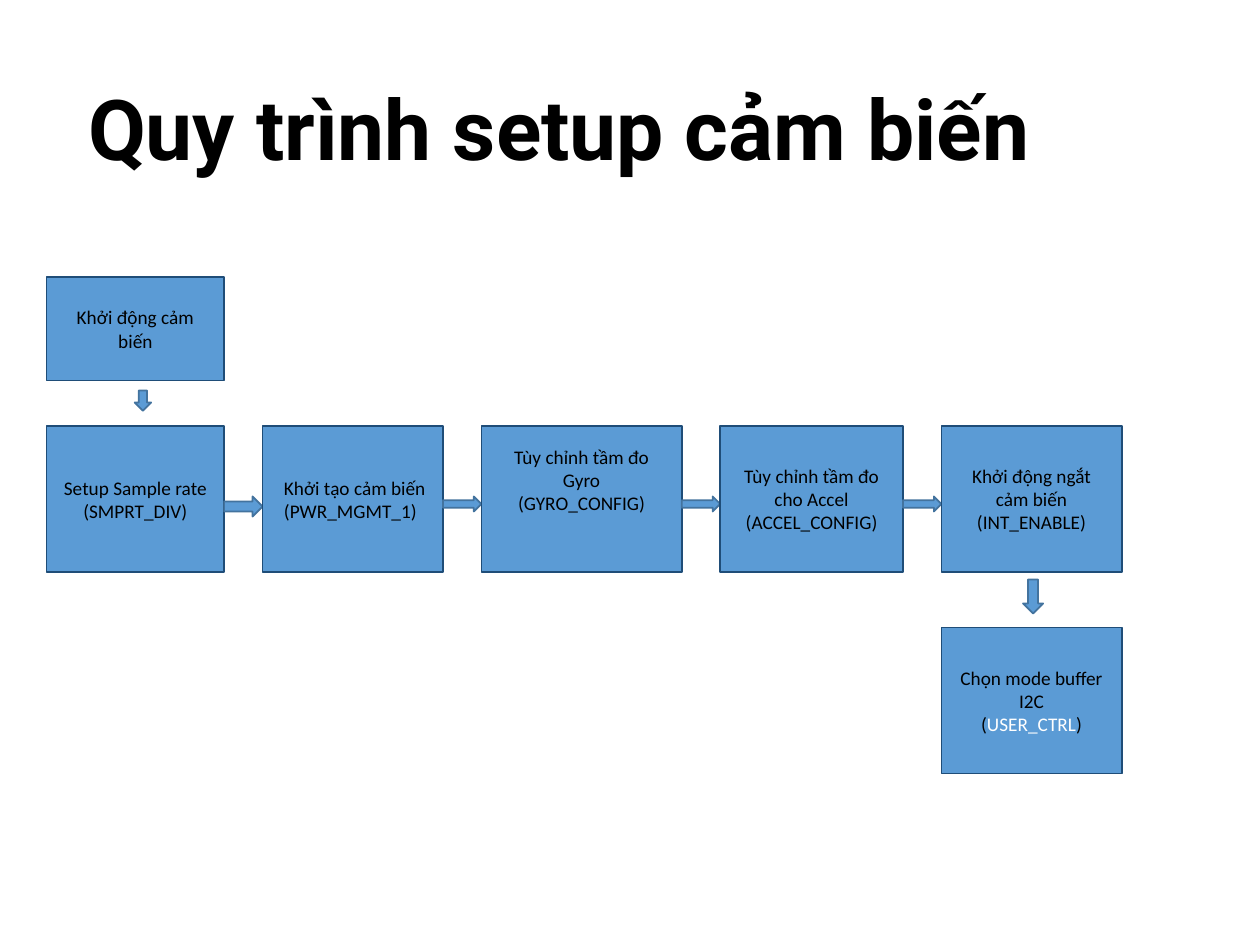
from pptx import Presentation
from pptx.dml.color import RGBColor
from pptx.enum.shapes import MSO_SHAPE as Shape
from pptx.enum.text import MSO_ANCHOR as Anchor, MSO_AUTO_SIZE as AutoSize, PP_ALIGN as Align
from pptx.util import Pt

BLUE = RGBColor(0x5B, 0x9B, 0xD5)
BOX_LINE = RGBColor(0x1F, 0x4D, 0x78)
ARROW_LINE = RGBColor(0x43, 0x73, 0x9E)
BLACK = RGBColor(0, 0, 0)
WHITE = RGBColor(0xFF, 0xFF, 0xFF)

ROW_LEFT, ROW_TOP, BOX_HEIGHT, GAP = 26.6, 243.4, 83.5, 22
ARROW_TOP = 283.7

# Lines of text, box width, arrow height after the box, extra box format
STEPS = [
    (["Setup Sample rate", "(SMPRT_DIV)"], 101.5, 11.5, {}),
    (["Khởi tạo cảm biến", "(PWR_MGMT_1)"], 103, 8.6,
     {"align": Align.LEFT, "margin_left": 12.2}),
    (["Tùy chỉnh tầm đo Gyro", "(GYRO_CONFIG)"], 114.5, 8.6, {"margin_bottom": 25.6}),
    (["Tùy chỉnh tầm đo cho Accel", "(ACCEL_CONFIG)"], 104.4, 8.6, {}),
    (["Khởi động ngắt cảm biến", "(INT_ENABLE)"], 103, None, {}),
]


def write_text(frame, lines, font="Calibri", size=11, color=BLACK, bold=False,
               align=Align.CENTER):
    """Write one paragraph per line; a line is a string or a list of (text, color)."""
    frame.vertical_anchor = Anchor.MIDDLE
    for index, line in enumerate(lines):
        paragraph = frame.add_paragraph() if index else frame.paragraphs[0]
        paragraph.alignment = align
        parts = [(line, color)] if isinstance(line, str) else line
        for text, part_color in parts:
            run = paragraph.add_run()
            run.text = text
            run.font.name = font
            run.font.size = Pt(size)
            run.font.bold = bold
            run.font.color.rgb = part_color


class FlowSlide:
    def __init__(self, slide, fill=BLUE, line_width=1):
        self.slide = slide
        self.fill = fill
        self.line_width = line_width

    def add_preset(self, kind, left, top, width, height, line_color):
        shape = self.slide.shapes.add_shape(kind, Pt(left), Pt(top), Pt(width), Pt(height))
        shape.shadow.inherit = False
        shape.fill.solid()
        shape.fill.fore_color.rgb = self.fill
        shape.line.color.rgb = line_color
        shape.line.width = Pt(self.line_width)
        return shape

    def add_box(self, lines, left, top, width, height=BOX_HEIGHT,
                margin_left=7.2, margin_bottom=3.6, **text_format):
        shape = self.add_preset(Shape.RECTANGLE, left, top, width, height, BOX_LINE)
        frame = shape.text_frame
        frame.word_wrap = True
        frame.margin_left = Pt(margin_left)
        frame.margin_bottom = Pt(margin_bottom)
        write_text(frame, lines, **text_format)

    def add_arrow(self, kind, left, top, width, height):
        self.add_preset(kind, left, top, width, height, ARROW_LINE)

    def add_title(self, text, left, top, width, height):
        box = self.slide.shapes.add_textbox(Pt(left), Pt(top), Pt(width), Pt(height))
        box.text_frame.word_wrap = False
        box.text_frame.auto_size = AutoSize.SHAPE_TO_FIT_TEXT
        write_text(box.text_frame, [text], font="Roboto", size=48, bold=True,
                   align=Align.LEFT)


def main():
    presentation = Presentation()
    presentation.slide_width, presentation.slide_height = Pt(720), Pt(540)
    flow = FlowSlide(presentation.slides.add_slide(presentation.slide_layouts[6]))

    flow.add_title("Quy trình setup cảm biến", 43.2, 39.6, 578, 65.5)
    flow.add_box(["Khởi động cảm biến"], ROW_LEFT, 158.4, STEPS[0][1], 59)
    flow.add_arrow(Shape.DOWN_ARROW, 77, 223.2, 9.4, 11.5)

    left = ROW_LEFT
    for lines, width, arrow_height, box_format in STEPS:
        flow.add_box(lines, left, ROW_TOP, width, **box_format)
        if arrow_height:
            flow.add_arrow(Shape.RIGHT_ARROW, left + width, ARROW_TOP, GAP, arrow_height)
            left += width + GAP

    flow.add_arrow(Shape.DOWN_ARROW, 584.6, 331.2, 11.5, 19.4)
    user_control = [("(", BLACK), ("USER_CTRL", WHITE), (")", BLACK)]
    flow.add_box(["Chọn mode buffer I2C", user_control], left, 358.6, STEPS[-1][1])

    presentation.save("out.pptx")


if __name__ == "__main__":
    main()
